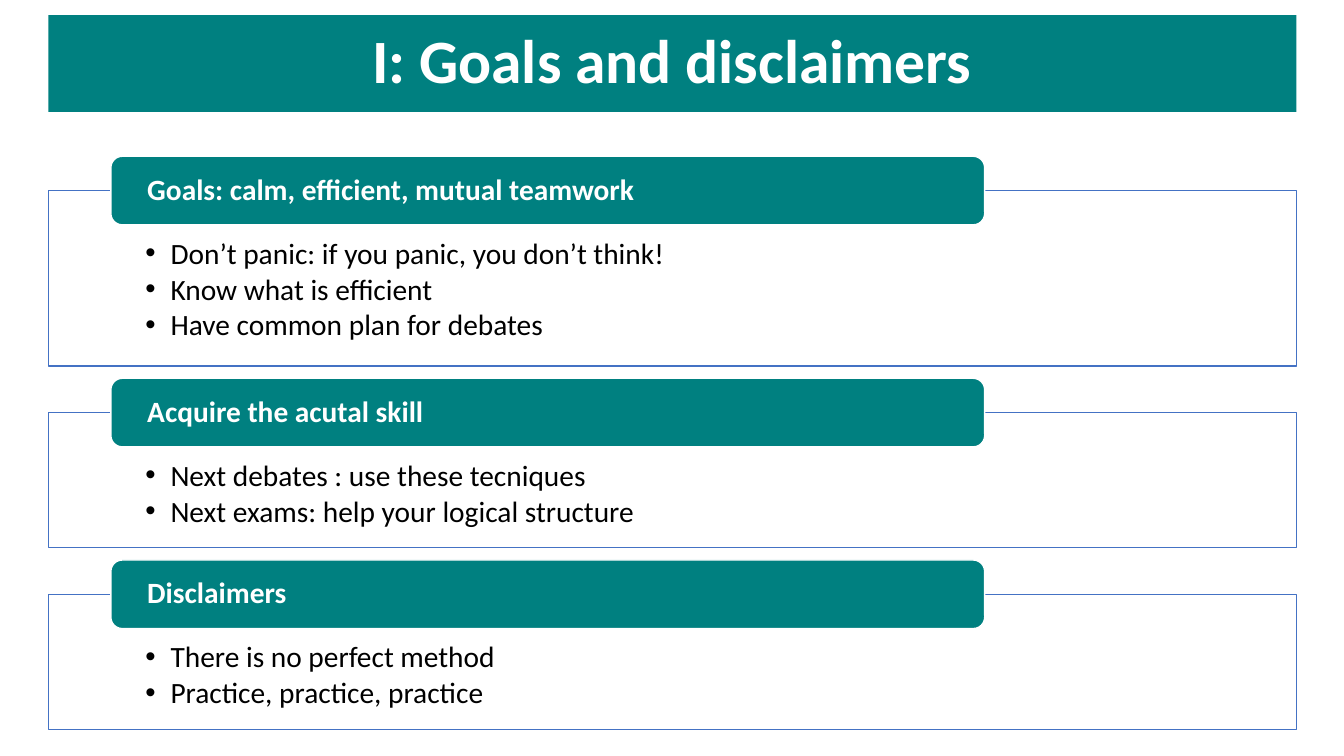
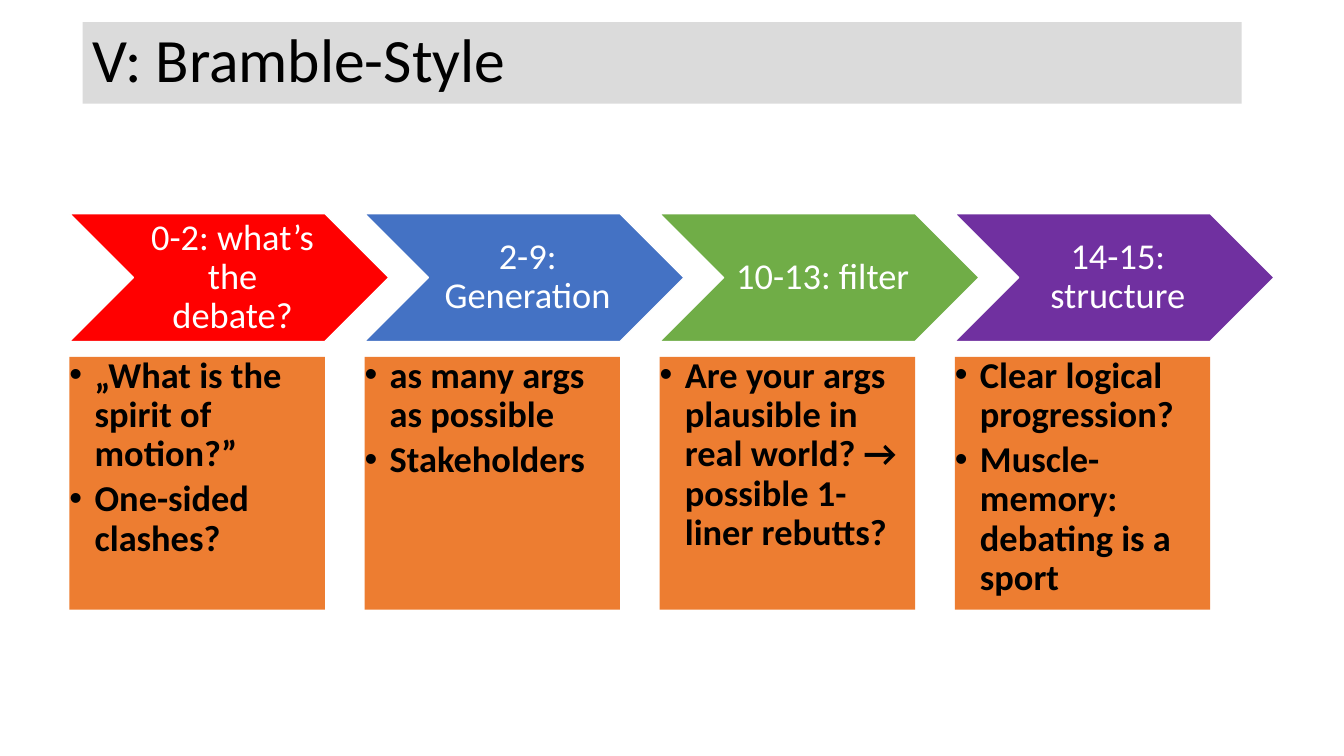
from dataclasses import dataclass

from lxml.etree import SubElement
from pptx import Presentation
from pptx.dml.color import RGBColor
from pptx.enum.shapes import MSO_SHAPE
from pptx.enum.text import MSO_ANCHOR, PP_ALIGN
from pptx.oxml.ns import qn
from pptx.util import Pt


@dataclass(frozen=True)
class Theme:
    font: str = "Calibri"
    title_size: int = 44
    panel_size: int = 21
    step_size: int = 26
    white: str = "FFFFFF"
    black: str = "000000"
    teal: str = "008080"
    gray: str = "DBDBDB"
    blue: str = "4472C4"
    red: str = "FF0000"
    green: str = "70AD47"
    purple: str = "7030A0"
    orange: str = "ED7D31"


theme = Theme()


def add_block(slide, preset, box, fill, line=None):
    """Add a filled preset shape; box is left, top, width, height in points."""
    block = slide.shapes.add_shape(preset, *[Pt(length) for length in box])
    block.shadow.inherit = False
    block.fill.solid()
    block.fill.fore_color.rgb = RGBColor.from_string(fill)
    if line:
        block.line.color.rgb = RGBColor.from_string(line)
        block.line.width = Pt(1)
    else:
        block.line.fill.background()
    return block


def write(block, lines, size, color, bold=False, align=PP_ALIGN.LEFT,
          anchor=MSO_ANCHOR.MIDDLE, insets=(7.2, 3.6, 7.2, 3.6), bullets=False, gap=0):
    """Write one paragraph per line; insets are left, top, right, bottom in points."""
    frame = block.text_frame
    left, top, right, bottom = [Pt(inset) for inset in insets]
    frame_format = {"word_wrap": True, "vertical_anchor": anchor, "margin_left": left,
                    "margin_top": top, "margin_right": right, "margin_bottom": bottom}
    paragraph_format = {"alignment": align, "line_spacing": 0.9, "space_after": Pt(gap)}
    font_format = {"name": theme.font, "size": Pt(size), "bold": bold}
    for name, value in frame_format.items():
        setattr(frame, name, value)
    for index, text in enumerate(lines):
        paragraph = frame.add_paragraph() if index else frame.paragraphs[0]
        for name, value in paragraph_format.items():
            setattr(paragraph, name, value)
        if bullets:
            properties = paragraph._p.get_or_add_pPr()
            properties.set("marL", str(Pt(18)))
            properties.set("indent", str(Pt(-18)))
            SubElement(properties, qn("a:buFont"), typeface="Arial")
            SubElement(properties, qn("a:buChar"), char="•")
        run = paragraph.add_run()
        run.text = text
        for name, value in font_format.items():
            setattr(run.font, name, value)
        run.font.color.rgb = RGBColor.from_string(color)


deck = Presentation()
deck.slide_width, deck.slide_height = Pt(960), Pt(540)
blank = deck.slide_layouts[6]

# Slide 1: goals
goals = deck.slides.add_slide(blank)
goals_title = add_block(goals, MSO_SHAPE.RECTANGLE, (34.6, 10.8, 891.4, 69.1), theme.teal)
write(goals_title, ["I: Goals and disclaimers"], theme.title_size, theme.white,
      bold=True, align=PP_ALIGN.CENTER)

topics = [
    ("Goals: calm, efficient, mutual teamwork",
     ["Don’t panic: if you panic, you don’t think!", "Know what is efficient",
      "Have common plan for debates"]),
    ("Acquire the acutal skill",
     ["Next debates : use these tecniques", "Next exams: help your logical structure"]),
    ("Disclaimers",
     ["There is no perfect method", "Practice, practice, practice"]),
]
heading_top, heading_height, topic_gap = 111.6, 49, 8.7
for heading, points in topics:
    panel_top = heading_top + heading_height / 2
    panel_height = 39 + 28.8 * len(points)
    panel = add_block(goals, MSO_SHAPE.RECTANGLE, (34.6, panel_top, 891.4, panel_height),
                      theme.white, theme.blue)
    write(panel, points, theme.panel_size, theme.black, anchor=MSO_ANCHOR.TOP,
          insets=(69.2, 34.4, 69.2, 11.5), bullets=True, gap=3)
    heading_tab = add_block(goals, MSO_SHAPE.ROUNDED_RECTANGLE,
                            (79.2, heading_top, 624.2, heading_height),
                            theme.teal, theme.white)
    write(heading_tab, [heading], theme.panel_size, theme.white, bold=True,
          insets=(23.6, 0, 23.6, 0))
    heading_top = panel_top + panel_height + topic_gap

# Slide 2: timeline of steps
timeline = deck.slides.add_slide(blank)
timeline_title = add_block(timeline, MSO_SHAPE.RECTANGLE, (59, 15.8, 828, 58.3), theme.gray)
write(timeline_title, ["V: Bramble-Style"], theme.title_size, theme.black)

steps = [
    ("0-2: what’s the debate?", theme.red,
     ["„What is the spirit of motion?”", "One-sided clashes?"]),
    ("2-9: Generation", theme.blue,
     ["as many args as possible", "Stakeholders"]),
    ("10-13: filter", theme.green,
     ["Are your args plausible in real world? → possible 1-liner rebutts?"]),
    ("14-15: structure", theme.purple,
     ["Clear logical progression?", "Muscle-memory: debating is a sport"]),
]
for index, (stage, color, tasks) in enumerate(steps):
    left = 49.6 + 210.8 * index
    arrow = add_block(timeline, MSO_SHAPE.CHEVRON, (left, 152.6, 228.2, 91.3),
                      color, theme.white)
    write(arrow, [stage], theme.step_size, theme.white, align=PP_ALIGN.CENTER,
          insets=(7.9, 2.9, 2.9, 2.9))
    task_box = add_block(timeline, MSO_SHAPE.RECTANGLE, (left, 254.9, 182.4, 180.6),
                         theme.orange)
    write(task_box, tasks, theme.step_size, theme.black, bold=True,
          anchor=MSO_ANCHOR.TOP, insets=(0, 0, 0, 0), bullets=True, gap=4)

deck.save("out.pptx")
